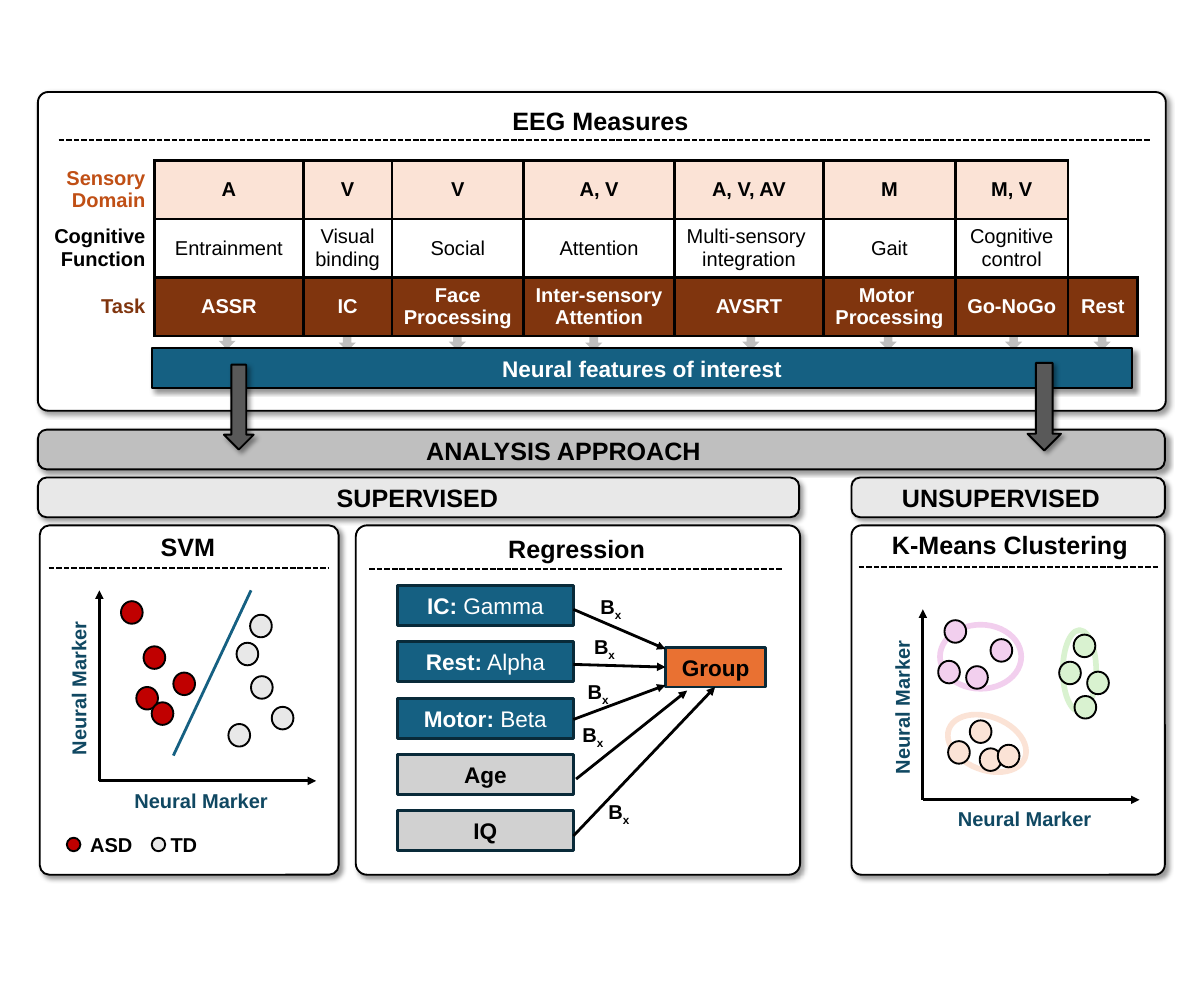
"""Build a slide on EEG measures and the ways to analyse them."""
from lxml.etree import SubElement as Sub
from pptx import Presentation as Deck
from pptx.dml.color import RGBColor as Rgb
from pptx.enum.dml import MSO_LINE as Dash
from pptx.enum.shapes import MSO_CONNECTOR as Con, MSO_SHAPE as Kind
from pptx.enum.text import MSO_ANCHOR as Anchor, MSO_AUTO_SIZE as Auto, PP_ALIGN as Align
from pptx.oxml.ns import qn
from pptx.util import Pt

SCALE = 9144
FONT = "Arial"
PLAIN = "{2D5ABB26-0587-4C30-8999-92F81FD0307C}"
HUES = {
    "black": "000000", "white": "FFFFFF", "mist": "E8E8E8", "ash": "D1D1D1",
    "gray": "BFBFBF", "dark": "595959", "blue": "156082", "navy": "092A39",
    "ink": "104862", "rust": "C04F15", "brown": "80350E", "peach": "FBE3D6",
    "orange": "E97132", "red": "C00000", "pink": "F2CFEE", "green": "D9F2D0",
}
COLS = [128, 165, 98, 146, 167, 165, 146, 125, 77]
ROWS = [
    ("rust", "black", "peach", True,
     ["Sensory Domain", "A", "V", "V", "A, V", "A, V, AV", "M", "M, V", ""]),
    ("black", "black", "white", False,
     ["Cognitive Function", "Entrainment", "Visual\vbinding", "Social", "Attention",
      "Multi-sensory \vintegration", "Gait", "Cognitive control", ""]),
    ("brown", "white", "brown", True,
     ["Task", "ASSR", "IC", "Face\nProcessing", "Inter-sensory\nAttention", "AVSRT",
      "Motor \nProcessing", "Go-NoGo", "Rest"]),
]
CARDS = [(42, 102, 1249, 353), (394, 582, 492, 387), (44, 582, 331, 387), (943, 582, 347, 387)]
BARS = [(42, 529, 843, "mist"), (943, 529, 347, "mist"), (42, 476, 1248, "gray")]
HEADS = [
    ("EEG Measures", 58, 112, 1214, True), ("Regression", 553, 586, 173, False),
    ("SVM", 168, 584, 81, False), ("K-Means Clustering", 978, 582, 284, False),
    ("SUPERVISED", 363, 530, 201, False), ("UNSUPERVISED", 989, 530, 242, False),
    ("ANALYSIS APPROACH", 363, 477, 522, True),
]
RULES = [(65, 1273, 155), (409, 866, 630), (951, 1282, 628), (54, 363, 629)]
TERMS = [("IC:", " Gamma"), ("Rest:", " Alpha"), ("Motor:", " Beta"), ("Age", ""), ("IQ", "")]
PATHS = [
    (635, 675, 737, 719), (635, 736, 737, 739), (635, 797, 737, 759),
    (638, 863, 761, 765), (635, 926, 792, 761),
]
BETAS = [(655, 654), (648, 698), (664, 881), (641, 748), (635, 795)]
HINTS = [(242, 359), (375, 361), (497, 360), (648, 361), (822, 360), (974, 360), (1113, 360), (1211, 360)]
RINGS = [(1041, 692, 90, 71, 0, "pink"), (1177, 698, 37, 90, 0, "green"), (1048, 794, 90, 59, 20.9, "peach")]
DOTS = {
    "red": [(159, 716), (151, 761), (168, 778), (192, 745), (134, 666)],
    "mist": [(262, 712), (278, 749), (301, 783), (253, 802), (277, 681)],
    "pink": [(1070, 738), (1039, 732), (1046, 687), (1097, 708)],
    "peach": [(1085, 829), (1050, 821), (1074, 798), (1105, 825)],
    "green": [(1173, 733), (1190, 771), (1204, 744), (1189, 703)],
}


def px(*nums):
    """Turn px into EMU."""
    return [round(n * SCALE) for n in nums]


def hue(name):
    """Look up a colour."""
    return Rgb.from_string(HUES[name])


def write(para, text, size, tint, bold=True, base=0):
    """Add runs to a paragraph, with a line break at each tab mark."""
    for n, part in enumerate(text.split("\v")):
        if n:
            para.add_line_break()
        run = para.add_run()
        run.text = part
        font = run.font
        font.name, font.size, font.bold = FONT, Pt(size), bold
        font.color.rgb = hue(tint)
        if base:
            run._r.get_or_add_rPr().set("baseline", str(base * 1000))


def shape(slide, kind, box, fill=None, line=None, width=1.5, cast=False, curve=None):
    """Draw a preset shape, with a soft shadow if cast is set."""
    item = slide.shapes.add_shape(kind, *px(*box))
    item.shadow.inherit = False
    if curve is not None:
        item.adjustments[0] = curve
    if fill:
        item.fill.solid()
        item.fill.fore_color.rgb = hue(fill)
    else:
        item.fill.background()
    if line:
        item.line.color.rgb = hue(line)
        item.line.width = Pt(width)
    else:
        item.line.fill.background()
    if cast:
        glow = item._element.spPr.find(qn("a:effectLst"))
        shade = Sub(glow, qn("a:outerShdw"), blurRad="50800", dist="38100",
                    dir="2700000", algn="tl", rotWithShape="0")
        tone = Sub(shade, qn("a:srgbClr"), val=HUES["black"])
        Sub(tone, qn("a:alpha"), val="40000")
    return item


def panel(slide, box, fill, tint, bold, light="", line="navy", **more):
    """Draw a box with a centred caption."""
    item = shape(slide, Kind.RECTANGLE, box, fill, line, **more)
    item.text_frame.word_wrap = True
    para = item.text_frame.paragraphs[0]
    para.alignment = Align.CENTER
    write(para, bold, 18, tint)
    if light:
        write(para, light, 18, tint, False)


def label(slide, box, text, size=16, tint="black", turn=0, sub="", mid=False):
    """Place a line of bold text."""
    item = slide.shapes.add_textbox(*px(*box))
    item.rotation = turn
    item.text_frame.word_wrap = mid
    item.text_frame.auto_size = Auto.SHAPE_TO_FIT_TEXT
    para = item.text_frame.paragraphs[0]
    para.alignment = Align.CENTER if mid else Align.LEFT
    write(para, text, size, tint)
    if sub:
        write(para, sub, size, tint, base=-25)


def link(slide, ends, tint="black", width=2.25, dash=False, head=True):
    """Draw a straight line or arrow."""
    item = slide.shapes.add_connector(Con.STRAIGHT, *px(*ends))
    item.line.color.rgb = hue(tint)
    item.line.width = Pt(width)
    if dash:
        item.line.dash_style = Dash.SQUARE_DOT
    if head:
        Sub(item.line._get_or_add_ln(), qn("a:tailEnd"), type="triangle")
    Sub(item._element.spPr, qn("a:effectLst"))


def edge(cell, sides):
    """Rule the named sides of a cell."""
    props = cell._tc.get_or_add_tcPr()
    for side in sides:
        line = Sub(props, qn("a:ln" + side), w=str(Pt(2.25)))
        Sub(Sub(line, qn("a:solidFill")), qn("a:srgbClr"), val=HUES["black"])


def grid(slide):
    """Build the table of tasks."""
    table = slide.shapes.add_table(len(ROWS), len(COLS), *px(43, 178, sum(COLS), 194)).table
    table._tbl.tblPr[0].text = PLAIN
    table.first_row = table.horz_banding = False
    for col, width in zip(table.columns, COLS):
        col.width = px(width)[0]
    for r, (side, tint, fill, bold, texts) in enumerate(ROWS):
        table.rows[r].height = px(194 / 3)[0]
        for c, text in enumerate(texts):
            cell = table.cell(r, c)
            cell.vertical_anchor = Anchor.MIDDLE
            if c and text:
                edge(cell, "LRTB")
                cell.fill.solid()
                cell.fill.fore_color.rgb = hue(fill)
            else:
                edge(cell, "L" if c else "R")
                cell.fill.background()
            for n, part in enumerate(text.split("\n") if text else []):
                frame = cell.text_frame
                para = frame.add_paragraph() if n else frame.paragraphs[0]
                para.alignment = Align.CENTER if c else Align.RIGHT
                write(para, part, 16, tint if c else side, bold or not c)


def axes(slide, x, y):
    """Draw a pair of axes and their names."""
    link(slide, (x, y, x, y - 211))
    link(slide, (x, y, x + 240, y))
    label(slide, (x + 29, y + 3, 170, 37), "Neural Marker", tint="ink")
    label(slide, (x - 108, y - 122, 170, 37), "Neural Marker", tint="ink", turn=270)


def main():
    """Build and save the slide."""
    deck = Deck()
    deck.slide_width, deck.slide_height = px(4000 / 3, 1100)
    slide = deck.slides.add_slide(deck.slide_layouts[6])
    for box in CARDS:
        shape(slide, Kind.ROUNDED_RECTANGLE, box, "white", "black", cast=True, curve=0.032)
    for x, y, wide, fill in BARS:
        shape(slide, Kind.ROUNDED_RECTANGLE, (x, y, wide, 44), fill, "black", cast=True, curve=0.22)
    for x, y in HINTS:
        shape(slide, Kind.DOWN_ARROW, (x, y, 19, 28), "gray")
    for text, x, y, wide, mid in HEADS:
        label(slide, (x, y, wide, 44), text, 20, mid=mid)
    for x, end, y in RULES:
        link(slide, (x, y, end, y), width=1.5, dash=True, head=False)
    for n, (bold, light) in enumerate(TERMS):
        fill, tint = ("blue", "white") if light else ("ash", "black")
        panel(slide, (440, round(649 + 62.25 * n), 195, 44), fill, tint, bold, light, width=2.25)
    panel(slide, (737, 717, 111, 44), "orange", "black", "Group", width=2.25)
    for ends in PATHS:
        link(slide, ends)
    for x, y in BETAS:
        label(slide, (x, y, 45, 37), "B", sub="x")
    axes(slide, 110, 865)
    axes(slide, 1022, 886)
    link(slide, (192, 837, 278, 654), "blue", head=False)
    for *box, turn, tint in RINGS:
        shape(slide, Kind.OVAL, box, line=tint, width=4.5).rotation = turn
    for fill, spots in DOTS.items():
        for x, y in spots:
            shape(slide, Kind.OVAL, (x, y, 24, 25), fill, "black")
    for fill, x, text, left, wide in [("red", 74, "ASD", 90, 67), ("mist", 168, "TD", 179, 50)]:
        shape(slide, Kind.OVAL, (x, 928, 15, 15), fill, "black")
        label(slide, (left, 917, wide, 37), text)
    grid(slide)
    panel(slide, (168, 386, 1086, 44), "blue", "white", "Neural features of interest", line="black", cast=True)
    for box in [(1138, 402, 37, 97), (248, 404, 33, 94)]:
        shape(slide, Kind.DOWN_ARROW, box, "dark", "black", cast=True)
    deck.save("out.pptx")


if __name__ == "__main__":
    main()
